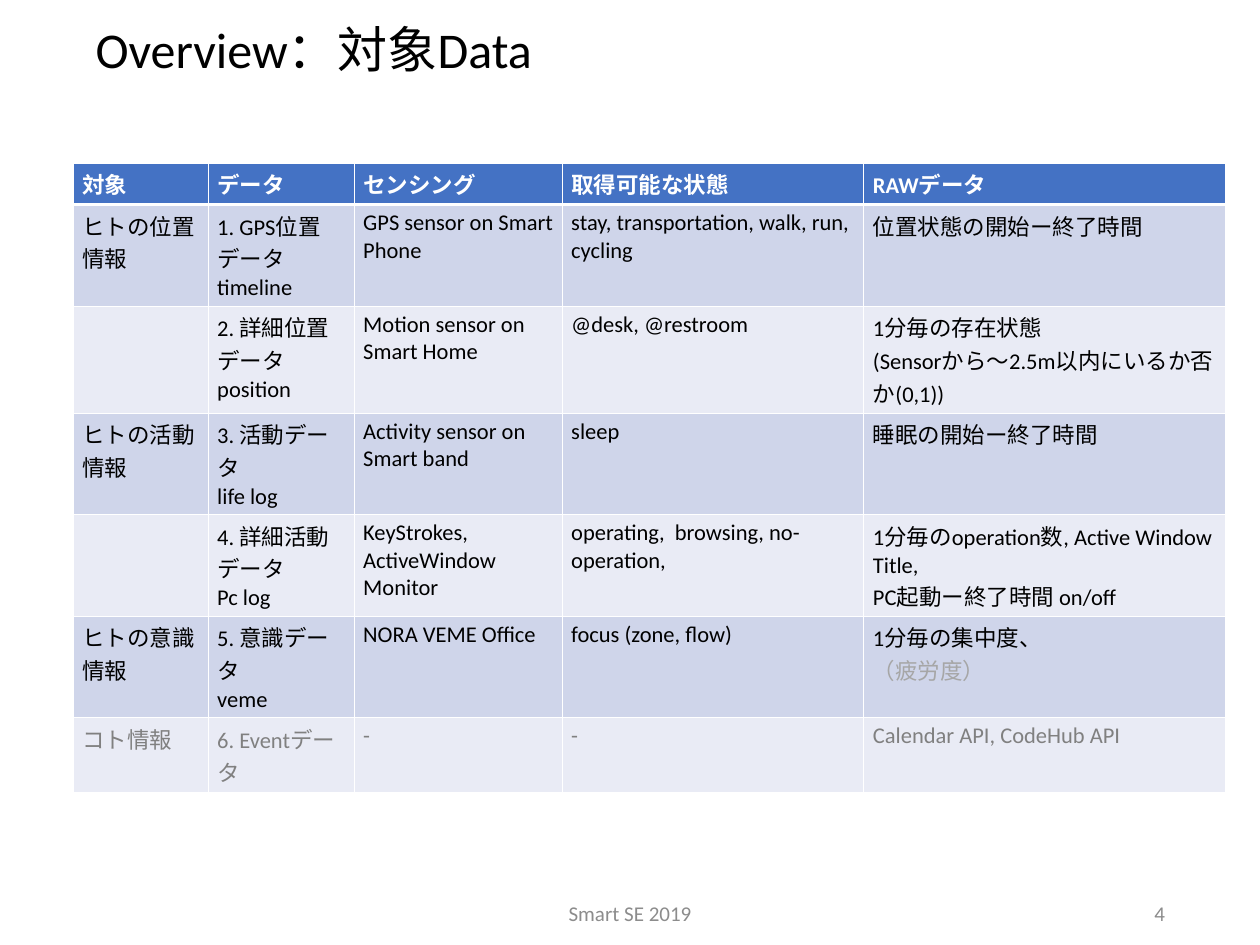
from lxml.etree import SubElement
from pptx import Presentation
from pptx.dml.color import RGBColor
from pptx.enum.text import MSO_ANCHOR as ANC, MSO_AUTO_SIZE as FIT, PP_ALIGN as AL
from pptx.oxml.ns import qn
from pptx.util import Pt


def rgb(h):
    return RGBColor.from_string(h)


def style(p, size, color, bold=False):
    for r in p.runs:
        r.font.name = "Calibri"
        r.font.size = Pt(size)
        r.font.bold = bold
        r.font.color.rgb = rgb(color)


prs = Presentation()
prs.slide_width, prs.slide_height = Pt(1008), Pt(756)
s = prs.slides.add_slide(prs.slide_layouts[5])

sp = s.shapes.title
sp.left, sp.top, sp.width, sp.height = Pt(69.3), Pt(8.6), Pt(869), Pt(66.2)
tf = sp.text_frame
tf.text = "Overview：対象Data"
tf.auto_size = FIT.NONE
tf.vertical_anchor = ANC.MIDDLE
p = tf.paragraphs[0]
p.alignment = AL.LEFT
p.line_spacing = 0.9
style(p, 40, "000000")

rows = [
    ["対象", "データ", "センシング", "取得可能な状態", "RAWデータ"],
    ["ヒトの位置情報", "1. GPS位置データ\ntimeline", "GPS sensor on Smart Phone",
     "stay, transportation, walk, run, cycling", "位置状態の開始ー終了時間"],
    ["", "2. 詳細位置データ\vposition", "Motion sensor on Smart Home",
     "@desk, @restroom", "1分毎の存在状態\n(Sensorから～2.5m以内にいるか否か(0,1))"],
    ["ヒトの活動情報", "3. 活動データ\vlife log", "Activity sensor on Smart band",
     "sleep", "睡眠の開始ー終了時間"],
    ["", "4. 詳細活動データ\vPc log", "KeyStrokes, ActiveWindow Monitor",
     "operating,  browsing, no-operation,",
     "1分毎のoperation数, Active Window Title,\nPC起動ー終了時間 on/off"],
    ["ヒトの意識情報", "5. 意識データ\nveme", "NORA VEME Office",
     "focus (zone, flow)", "1分毎の集中度、\n（疲労度）"],
    ["コト情報", "6. Eventデータ", "-", "-", "Calendar API, CodeHub API"],
]
widths = [108, 116.8, 166.4, 241.4, 289.6]
row_h = 29.2
tbl = s.shapes.add_table(len(rows), len(widths), Pt(58.6), Pt(130.5),
                         Pt(sum(widths)), Pt(row_h * len(rows))).table
for col, w in zip(tbl.columns, widths):
    col.width = Pt(w)

for i, row in enumerate(rows):
    tbl.rows[i].height = Pt(row_h)
    head, last = i == 0, i == len(rows) - 1
    fill = "4472C4" if head else "CFD5EA" if i % 2 else "E9EBF5"
    color = "FFFFFF" if head else "808080" if last else "000000"
    for j, text in enumerate(row):
        cell = tbl.cell(i, j)
        cell.text_frame.text = text
        for p in cell.text_frame.paragraphs:
            style(p, 18, "A6A6A6" if p.text == "（疲労度）" else color, head)
        tc_pr = cell._tc.get_or_add_tcPr()
        for side in ("lnL", "lnR", "lnT", "lnB"):
            thick = (head and side == "lnB") or (i == 1 and side == "lnT")
            ln = SubElement(tc_pr, qn("a:" + side), w=str(Pt(3 if thick else 1)))
            SubElement(SubElement(ln, qn("a:solidFill")), qn("a:srgbClr"), val="FFFFFF")
        cell.fill.solid()
        cell.fill.fore_color.rgb = rgb(fill)

for text, left, width, align in [("Smart SE 2019", 334, 340, AL.CENTER),
                                 ("4", 712, 227, AL.RIGHT)]:
    tf = s.shapes.add_textbox(Pt(left), Pt(720), Pt(width), Pt(21)).text_frame
    tf.text = text
    tf.word_wrap = True
    tf.vertical_anchor = ANC.MIDDLE
    p = tf.paragraphs[0]
    p.alignment = align
    style(p, 16.8, "8C8C8C")

prs.save("out.pptx")
